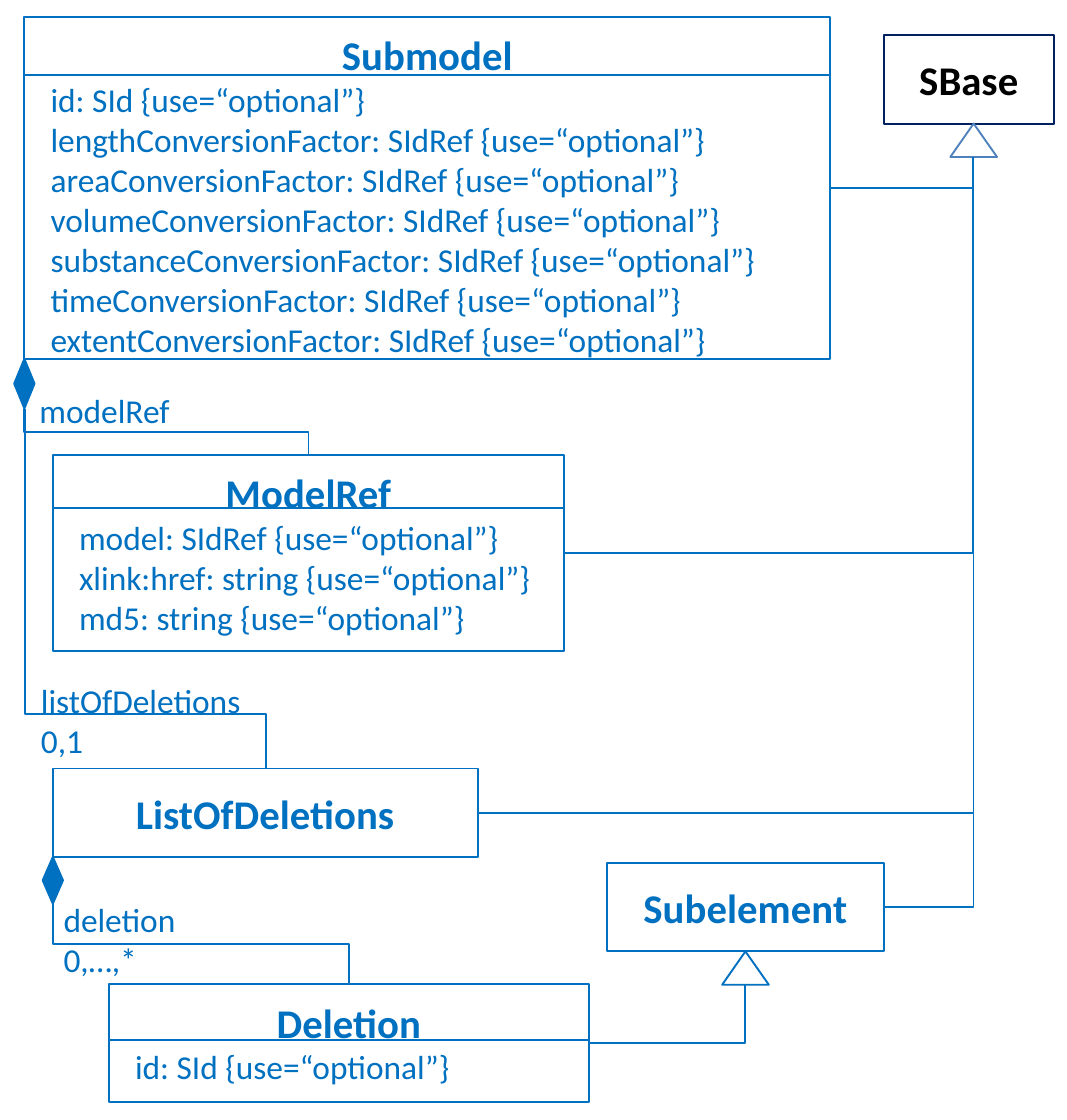
from lxml import etree
from pptx import Presentation
from pptx.dml.color import RGBColor
from pptx.enum.shapes import MSO_CONNECTOR, MSO_SHAPE
from pptx.enum.text import MSO_ANCHOR, MSO_AUTO_SIZE, PP_ALIGN
from pptx.oxml.ns import qn
from pptx.util import Pt

BLUE = RGBColor(0x00, 0x70, 0xC0)
NAVY = RGBColor(0x00, 0x20, 0x60)
STEEL = RGBColor(0x4F, 0x81, 0xBD)
BLACK = RGBColor(0x00, 0x00, 0x00)

prs = Presentation()
prs.slide_width, prs.slide_height = Pt(288), Pt(302.4)
s = prs.slides.add_slide(prs.slide_layouts[6])


def add_line(kind, x1, y1, x2, y2):
    c = s.shapes.add_connector(kind, Pt(x1), Pt(y1), Pt(x2), Pt(y2))
    c.line.color.rgb = BLUE
    c.line.width = Pt(0.5)
    etree.SubElement(c._element.spPr, qn("a:effectLst"))
    return c


def add_box(kind, x, y, w, h, color):
    sp = s.shapes.add_shape(kind, Pt(x), Pt(y), Pt(w), Pt(h))
    sp.shadow.inherit = False
    sp.fill.background()
    sp.line.color.rgb = color
    sp.line.width = Pt(0.5)
    return sp


factors = ["length", "area", "volume", "substance", "time", "extent"]
submodel_rows = ["id: SId {use=“optional”}"] + [
    f"{f}ConversionFactor: SIdRef {{use=“optional”}}" for f in factors]
model_rows = ["model: SIdRef {use=“optional”}", "xlink:href: string {use=“optional”}",
              "md5: string {use=“optional”}"]

classes = {
    "Submodel": (6.6, 4.5, 217.6, 92.4, submodel_rows),
    "SBase": (238.5, 9.5, 46, 23.9, []),
    "ModelRef": (14.3, 122.8, 138, 53, model_rows),
    "ListOfDeletions": (14.3, 207.5, 114.7, 23.9, []),
    "Subelement": (163.8, 233, 74.8, 23.9, []),
    "Deletion": (29.4, 265.8, 129.6, 31.8, ["id: SId {use=“optional”}"]),
}
for name, (x, y, w, h, rows) in classes.items():
    base = name == "SBase"
    sp = add_box(MSO_SHAPE.RECTANGLE, x, y, w, h, NAVY if base else BLUE)
    tf = sp.text_frame
    tf.word_wrap = True
    tf.vertical_anchor = MSO_ANCHOR.TOP if rows else MSO_ANCHOR.MIDDLE
    tf.text = "\n".join([name] + rows)
    for i, p in enumerate(tf.paragraphs):
        p.alignment = PP_ALIGN.LEFT if i else PP_ALIGN.CENTER
        font = p.runs[0].font
        font.name, font.size, font.bold = "Calibri", Pt(9 if i else 11), i == 0
        font.color.rgb = BLACK if base else BLUE

for name, divider in [("Submodel", 20.2), ("ModelRef", 137.1), ("Deletion", 280.9)]:
    x, y, w, h, rows = classes[name]
    add_line(MSO_CONNECTOR.STRAIGHT, x, divider, x + w, divider)

inheritance = [
    ("SBase", STEEL, ["Submodel", "ModelRef", "ListOfDeletions", "Subelement"]),
    ("Subelement", BLUE, ["Deletion"]),
]
for parent, color, children in inheritance:
    x, y, w, h, rows = classes[parent]
    mid, top = x + w / 2 + (1.3 if parent == "SBase" else 0), y + h
    add_box(MSO_SHAPE.ISOSCELES_TRIANGLE, mid - 6.3, top, 12.6, 9, color)
    for child in children:
        x, y, w, h, rows = classes[child]
        c = add_line(MSO_CONNECTOR.ELBOW, x + w, y + h / 2, mid, top + 9)
        c._element.spPr.find(qn("a:prstGeom")).set("prst", "bentConnector2")

composition = [
    ("Submodel", 13.4, [("ModelRef", 0.5), ("ListOfDeletions", 0.85)]),
    ("ListOfDeletions", 12.6, [("Deletion", 0.5)]),
]
for owner, size, parts in composition:
    x, y, w, h, rows = classes[owner]
    x1, y1 = x, y + h + size
    sp = add_box(MSO_SHAPE.DIAMOND, x - 2.75, y + h, 5.5, size, BLUE)
    sp.fill.solid()
    sp.fill.fore_color.rgb = BLUE
    for part, bend in parts:
        x, y, w, h, rows = classes[part]
        dx, dy = x + w / 2 - x1, y - y1
        left, top = x1 + (dx - dy) / 2, y1 + (dy - dx) / 2
        c = add_line(MSO_CONNECTOR.ELBOW, left, top, left + dy, top + dx)
        xfrm = c._element.spPr.find(qn("a:xfrm"))
        xfrm.set("rot", "16200000")
        xfrm.set("flipH", "1")
        guides = c._element.spPr.find(qn("a:prstGeom")).get_or_add_avLst()
        etree.SubElement(guides, qn("a:gd"), name="adj1", fmla=f"val {round(bend * 100000)}")

labels = [
    ("modelRef", 3.6, 101.9, 50.4, 18),
    ("listOfDeletions\n0,1", 4, 180, 69, 29),
    ("deletion\n0,…,*", 10.1, 239.2, 45.4, 29),
]
for text, x, y, w, h in labels:
    tf = s.shapes.add_textbox(Pt(x), Pt(y), Pt(w), Pt(h)).text_frame
    tf.word_wrap = False
    tf.auto_size = MSO_AUTO_SIZE.SHAPE_TO_FIT_TEXT
    tf.text = text
    for p in tf.paragraphs:
        font = p.runs[0].font
        font.name, font.size = "Calibri", Pt(9)
        font.color.rgb = BLUE

prs.save("out.pptx")
